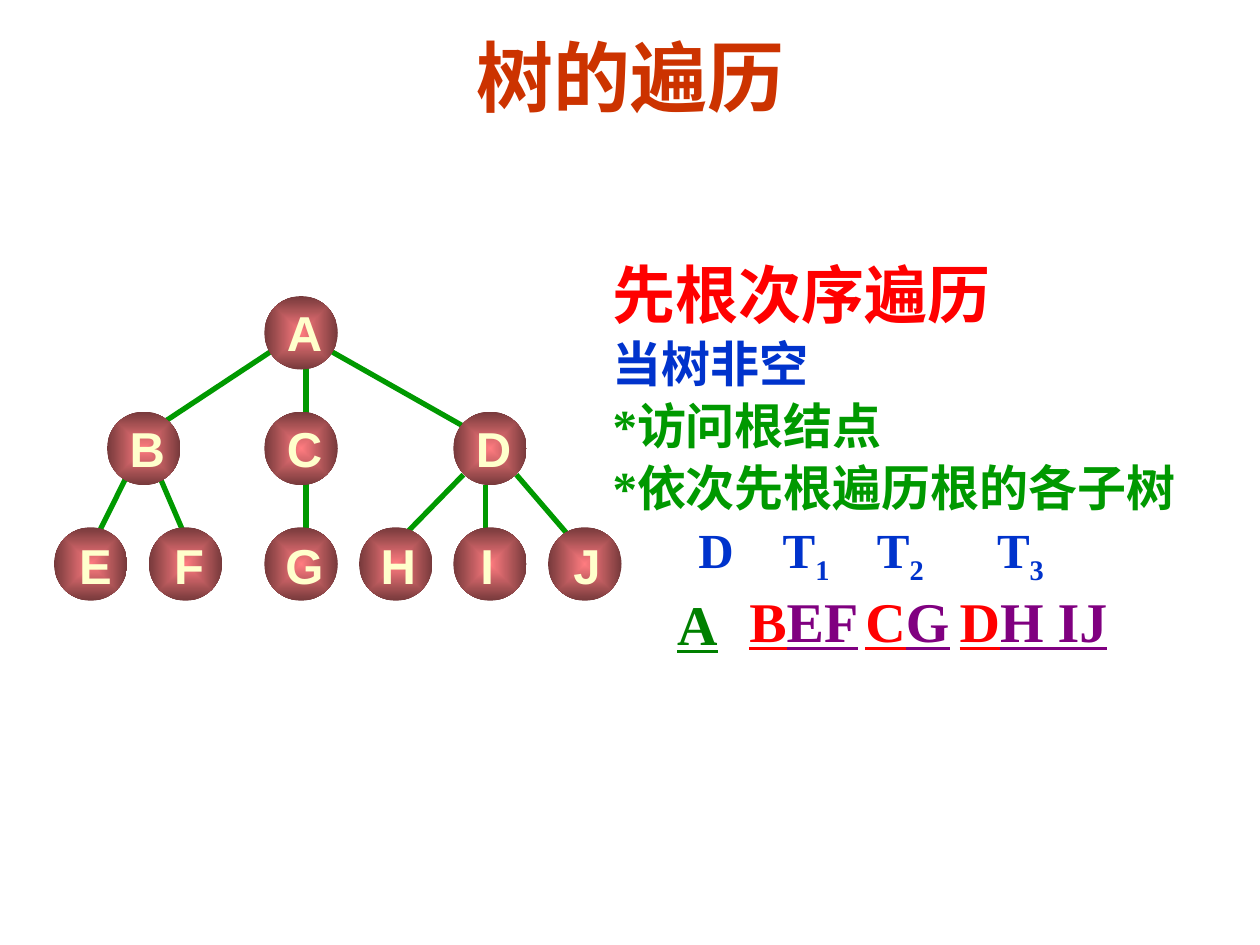
from lxml import etree
from pptx import Presentation
from pptx.dml.color import RGBColor
from pptx.enum import shapes, text
from pptx.oxml import ns
from pptx.util import Cm, Pt

RED, BLUE, GREEN, PURPLE = "FF0000", "0033CC", "009900", "800080"
SERIF, SANS = "Times New Roman", "Arial"

# Tree nodes: column (cm from the tree's left edge), level, label inset and width (cm)
NODE_SIZE, LEVEL_STEP = 1.48, 2.33
NODES = {
    "A": (4.24, 0, 0.2, 1.22),
    "B": (1.07, 1, 0.2, 1.22), "C": (4.24, 1, 0.2, 1.22), "D": (8.05, 1, 0.2, 1.22),
    "E": (0, 2, 0.25, 1.17), "F": (1.91, 2, 0.25, 1.12), "G": (4.24, 2, 0.17, 1.27),
    "H": (6.15, 2, 0.18, 1.22), "I": (8.05, 2, 0.28, 0.8), "J": (9.96, 2, 0.26, 1.04),
}
# Edges: parent, offset inside it, child, offset inside it (cm)
EDGES = [
    ("D", (1.27, 1.27), "J", (0.64, 0.43)),
    ("D", (0.2, 1.27), "H", (0.84, 0.23)),
    ("D", (0.64, 1.47), "I", (0.64, 0.23)),
    ("A", (1.27, 1.07), "D", (0.41, 0.41)),
    ("A", (0.2, 1.07), "B", (0.84, 0.41)),
    ("A", (0.84, 1.27), "G", (0.84, 1.46)),
    ("B", (1.04, 1.27), "F", (0.84, 0.43)),
    ("B", (0.41, 1.27), "E", (0.84, 0.23)),
]


def color(hex_string):
    return RGBColor.from_string(hex_string)


def add_run(paragraph, words, size, hex_color, font=SERIF, underline=False, subscript=False):
    run = paragraph.add_run()
    run.text = words
    run.font.name, run.font.size, run.font.bold = font, Pt(size), True
    run.font.color.rgb = color(hex_color)
    if underline:
        run.font.underline = True
    if subscript:
        run.font._element.set("baseline", "-25000")


def set_tabs(paragraph, positions):
    properties = paragraph._p.get_or_add_pPr()
    tab_list = etree.SubElement(properties, ns.qn("a:tabLst"))
    for position in positions:
        etree.SubElement(tab_list, ns.qn("a:tab"), pos=str(Cm(position)), algn="l")


def add_label(parent, left, top, width, height):
    """Add an unwrapped, centred text box and return its paragraph."""
    frame = parent.add_textbox(Cm(left), Cm(top), Cm(width), Cm(height)).text_frame
    frame.word_wrap = False
    frame.auto_size = text.MSO_AUTO_SIZE.SHAPE_TO_FIT_TEXT
    frame.vertical_anchor = text.MSO_ANCHOR.MIDDLE
    frame.paragraphs[0].alignment = text.PP_ALIGN.CENTER
    return frame.paragraphs[0]


def fill_radial(shape, inner, outer):
    shape.fill.gradient()
    for stop, hex_color, position in zip(shape.fill.gradient_stops, (inner, outer), (0, 1)):
        stop.color.rgb = color(hex_color)
        stop.position = position
    linear = shape._element.spPr.find(".//" + ns.qn("a:lin"))
    rectangle = etree.Element(ns.qn("a:path"), path="rect")
    etree.SubElement(rectangle, ns.qn("a:fillToRect"), l="50000", t="50000", r="50000", b="50000")
    linear.getparent().replace(linear, rectangle)


def add_title(slide, left, top, width, height):
    title = slide.shapes.title
    title.left, title.top, title.width, title.height = map(Cm, (left, top, width, height))
    frame = title.text_frame
    frame.auto_size = text.MSO_AUTO_SIZE.NONE
    frame.vertical_anchor = text.MSO_ANCHOR.MIDDLE
    frame.paragraphs[0].alignment = text.PP_ALIGN.LEFT
    add_run(frame.paragraphs[0], "树的遍历", 44, "CC3300", SANS)


def add_explanation(slide, left, top, width, height):
    panel = slide.shapes.add_shape(
        shapes.MSO_SHAPE.RECTANGLE, Cm(left), Cm(top), Cm(width), Cm(height))
    panel.shadow.inherit = False
    panel.fill.solid()
    panel.fill.fore_color.rgb = color("FFFFFF")
    panel.line.fill.background()
    frame = panel.text_frame
    frame.word_wrap = True
    frame.auto_size = text.MSO_AUTO_SIZE.SHAPE_TO_FIT_TEXT
    frame.vertical_anchor = text.MSO_ANCHOR.MIDDLE

    lines = [
        ("先根次序遍历", 36, RED),
        ("当树非空", 28, BLUE),
        ("*访问根结点", 28, GREEN),
        ("*依次先根遍历根的各子树", 28, GREEN),
    ]
    paragraphs = [frame.paragraphs[0]] + [frame.add_paragraph() for _ in range(5)]
    for paragraph, line in zip(paragraphs, lines):
        add_run(paragraph, *line)

    # Column heads D, T1 to T3 and the root A below them
    heads, root = paragraphs[4:]
    set_tabs(heads, (1.73, 3.43, 5.33, 7.75))
    add_run(heads, "\tD", 28, BLUE)
    for number in "123":
        add_run(heads, "\tT", 28, BLUE)
        add_run(heads, number, 28, BLUE, subscript=True)
    set_tabs(root, (1.3,))
    add_run(root, "\t", 32, GREEN)
    add_run(root, "A", 32, "008000", underline=True)

    for paragraph in paragraphs:
        paragraph.alignment = text.PP_ALIGN.LEFT
        paragraph.line_spacing = 1.05

    # Preorder sequence of each subtree
    subtrees = [("B", "EF", 2.73, 2.75), ("C", "G", 5.07, 2.25), ("D", "H IJ", 6.96, 3.55)]
    for subtree_root, rest, offset, label_width in subtrees:
        paragraph = add_label(slide.shapes, left + offset, top + 6.84, label_width, 1.63)
        add_run(paragraph, subtree_root, 32, RED, underline=True)
        add_run(paragraph, rest, 32, PURPLE, underline=True)


def add_tree(slide, left, top):
    tree = slide.shapes.add_group_shape().shapes

    def corner(name):
        column, level = NODES[name][:2]
        return left + column, top + level * LEVEL_STEP

    # Edges go behind the nodes
    for parent, start, child, end in EDGES:
        points = [base + shift
                  for name, offset in ((parent, start), (child, end))
                  for base, shift in zip(corner(name), offset)]
        edge = tree.add_connector(shapes.MSO_CONNECTOR.STRAIGHT, *map(Cm, points))
        edge.line.color.rgb = color(GREEN)
        edge.line.width = Pt(3)
        etree.SubElement(edge._element.spPr, ns.qn("a:effectLst"))

    # Nodes
    for name in NODES:
        x, y = corner(name)
        node = tree.add_shape(
            shapes.MSO_SHAPE.OVAL, Cm(x), Cm(y), Cm(NODE_SIZE), Cm(NODE_SIZE))
        node.shadow.inherit = False
        fill_radial(node, "FF7C80", "76393B")
        node.line.fill.background()

    # Labels, slightly lower on the leaves
    for name, (_, level, inset, width) in NODES.items():
        x, y = corner(name)
        drop = 0.04 if level == 2 else 0
        paragraph = add_label(tree, x + inset, y + drop, width, 1.45)
        add_run(paragraph, name, 28, "FFFFCC", SANS)


def main():
    presentation = Presentation()
    presentation.slide_width, presentation.slide_height = Cm(25.4), Cm(19.05)
    slide = presentation.slides.add_slide(presentation.slide_layouts[5])
    add_title(slide, 9.35, 0.58, 12.7, 1.9)
    add_explanation(slide, 12.1, 4.84, 12.5, 8.64)
    add_tree(slide, 1.09, 5.97)
    presentation.save("out.pptx")


if __name__ == "__main__":
    main()
